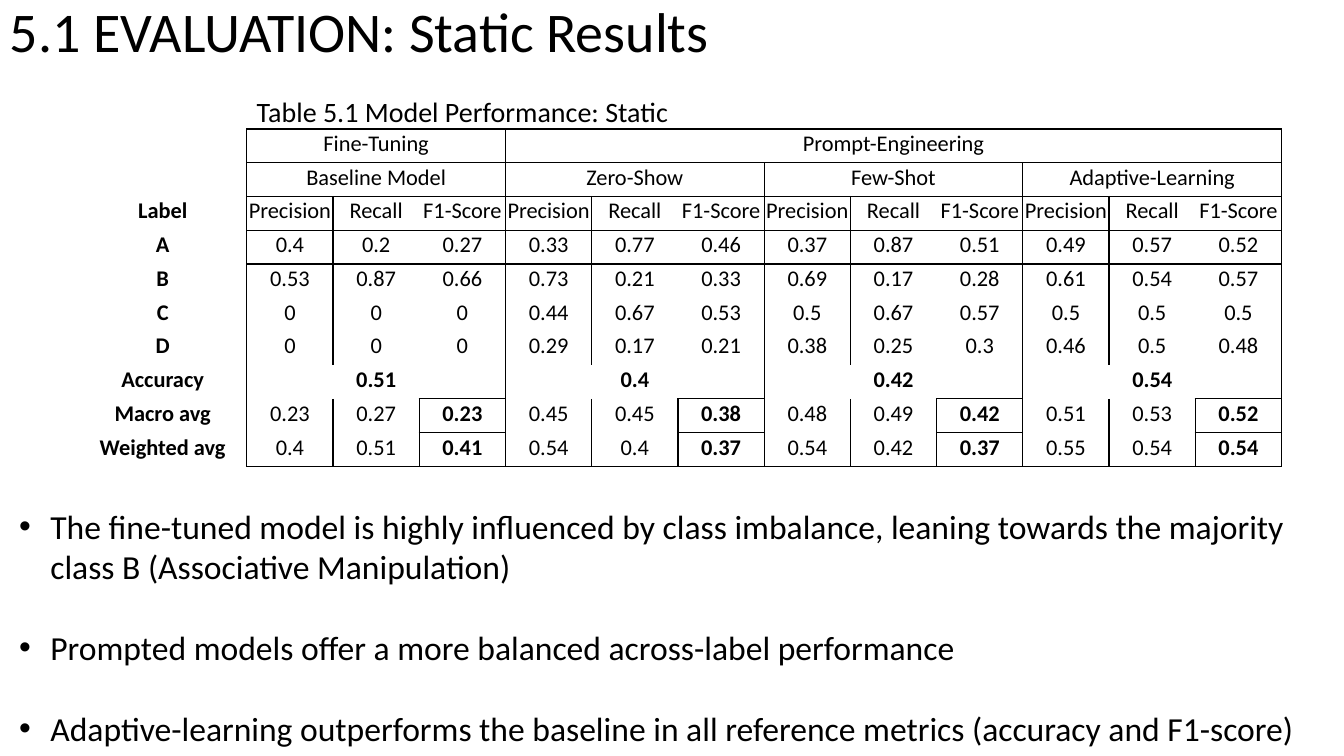
import pptx
import pptx.util
import pptx.dml.color
import pptx.enum.text
import lxml.etree

Cm, Pt = pptx.util.Cm, pptx.util.Pt
ALIGN, ANCHOR = pptx.enum.text.PP_ALIGN, pptx.enum.text.MSO_ANCHOR
NS = "http://schemas.openxmlformats.org/drawingml/2006/main"
PLAIN = "{2D5ABB26-0587-4C30-8999-92F81FD0307C}"  # table style without grid
INK = "000000"


def color(code):
    return pptx.dml.color.RGBColor.from_string(code)


def node(parent, tag, **attrs):
    return lxml.etree.SubElement(parent, f"{{{NS}}}{tag}", attrs)


class Deck:
    font = "Calibri"

    def __init__(self, width, height):
        self.file = pptx.Presentation()
        self.file.slide_width, self.file.slide_height = Cm(width), Cm(height)
        self.slide = self.file.slides.add_slide(self.file.slide_layouts[6])

    def style(self, para, size, bold=False):
        para.font.name, para.font.size = self.font, Pt(size)
        para.font.bold = bold
        para.font.color.rgb = color(INK)

    def text(self, place, lines, size, anchor=ANCHOR.TOP, space=1.0,
             bullet=False, gap=0):
        box = self.slide.shapes.add_textbox(*map(Cm, place))
        frame = box.text_frame
        frame.word_wrap = True
        frame.vertical_anchor = anchor
        for i, line in enumerate(lines):
            para = frame.paragraphs[0] if i == 0 else frame.add_paragraph()
            para.text = line
            para.line_spacing = space
            if i:
                para.space_before = Pt(gap)
            if bullet:
                props = para._p.get_or_add_pPr()
                props.set("marL", str(Cm(0.79)))
                props.set("indent", str(-Cm(0.79)))
                node(props, "buFont", typeface="Arial")
                node(props, "buChar", char="•")
            self.style(para, size)

    def table(self, place, rows, widths, height):
        frame = self.slide.shapes.add_table(
            rows, len(widths), *map(Cm, place), Cm(sum(widths)),
            Cm(height * rows))
        grid = frame.table
        grid.first_row = grid.horz_banding = False
        grid._tbl.tblPr.find(f"{{{NS}}}tableStyleId").text = PLAIN
        for col, width in zip(grid.columns, widths):
            col.width = Cm(width)
        for row in grid.rows:
            row.height = Cm(height)
            for cell in row.cells:
                cell.fill.background()
                cell.margin_left = cell.margin_right = Cm(0.03)
                cell.margin_top, cell.margin_bottom = Cm(0.03), Cm(0.13)
        return grid

    def cell(self, cell, text, size, bold):
        cell.vertical_anchor = ANCHOR.BOTTOM
        para = cell.text_frame.paragraphs[0]
        para.text = text
        para.alignment = ALIGN.CENTER
        self.style(para, size, bold)
        if not text:
            node(para._p, "endParaRPr", sz=str(size * 100))

    def edges(self, cell, sides):
        props = cell._tc.get_or_add_tcPr()
        for i, side in enumerate(s for s in "LRTB" if s in sides):
            line = node(props, "ln" + side, w=str(Pt(1)))
            node(node(line, "solidFill"), "srgbClr", val=INK)
            props.insert(i, line)


deck = Deck(33.87, 19.05)

# Title
deck.text((0, -0.97, 29.21, 3.68), ["5.1 EVALUATION: Static Results"], 40,
          anchor=ANCHOR.MIDDLE, space=0.9)

# Results: label, values, and the columns each value spans
results = [
    ("", ["Fine-Tuning", "Prompt-Engineering"], [3, 9]),
    ("", ["Baseline Model", "Zero-Show", "Few-Shot", "Adaptive-Learning"],
     [3] * 4),
    ("Label", ["Precision", "Recall", "F1-Score"] * 4, [1] * 12),
]
scores = """A|0.4 0.2 0.27 0.33 0.77 0.46 0.37 0.87 0.51 0.49 0.57 0.52
B|0.53 0.87 0.66 0.73 0.21 0.33 0.69 0.17 0.28 0.61 0.54 0.57
C|0 0 0 0.44 0.67 0.53 0.5 0.67 0.57 0.5 0.5 0.5
D|0 0 0 0.29 0.17 0.21 0.38 0.25 0.3 0.46 0.5 0.48
Accuracy|0.51 0.4 0.42 0.54
Macro avg|0.23 0.27 0.23 0.45 0.45 0.38 0.48 0.49 0.42 0.51 0.53 0.52
Weighted avg|0.4 0.51 0.41 0.54 0.4 0.37 0.54 0.42 0.37 0.55 0.54 0.54"""
for line in scores.splitlines():
    label, values = line.split("|")
    values = values.split()
    results.append((label, values, [12 // len(values)] * len(values)))

grid = deck.table((1.98, 3.25), len(results), [4.24] + [26.08 / 12] * 12, 0.85)
for r, (label, values, spans) in enumerate(results):
    texts = {0: label}
    col = 1
    for value, span in zip(values, spans):
        texts[col] = value
        if span > 1:
            grid.cell(r, col).merge(grid.cell(r, col + span - 1))
        col += span
    for c in range(13):
        best = r >= 8 and c % 3 == 0
        deck.cell(grid.cell(r, c), texts.get(c, ""), 16,
                  c == 0 or r == 7 or best)

# Table borders: blocks as first row, first column, last row, last column
blocks = [(0, 1, 0, 3), (0, 4, 0, 12)]
for c in range(1, 13, 3):
    blocks += [(1, c, 1, c + 2), (2, c, 2, c + 2), (3, c, 9, c + 2),
               (8, c + 2, 9, c + 2)]
sides = {}
for top, left, bottom, right in blocks:
    for r in range(top, bottom + 1):
        for c in range(left, right + 1):
            cell = grid.cell(r, c)
            end = c + cell.span_width - 1 if cell.is_merge_origin else c
            tests = {"L": c == left, "R": end == right,
                     "T": r == top, "B": r == bottom}
            sides.setdefault((r, c), set()).update(
                s for s, hit in tests.items() if hit)
for (r, c), found in sides.items():
    deck.edges(grid.cell(r, c), found)

# Findings
deck.text((0.23, 12.62, 33.66, 4.95), [
    "The fine-tuned model is highly influenced by class imbalance, leaning "
    "towards the majority class B (Associative Manipulation)",
    "Prompted models offer a more balanced across-label performance",
    "Adaptive-learning outperforms the baseline in all reference metrics "
    "(accuracy and F1-score)",
], 24, bullet=True, gap=29)

# Caption
deck.text((6.22, 2.26, 13.82, 1.12), ["Table 5.1 Model Performance: Static"],
          20)

deck.file.save("out.pptx")
